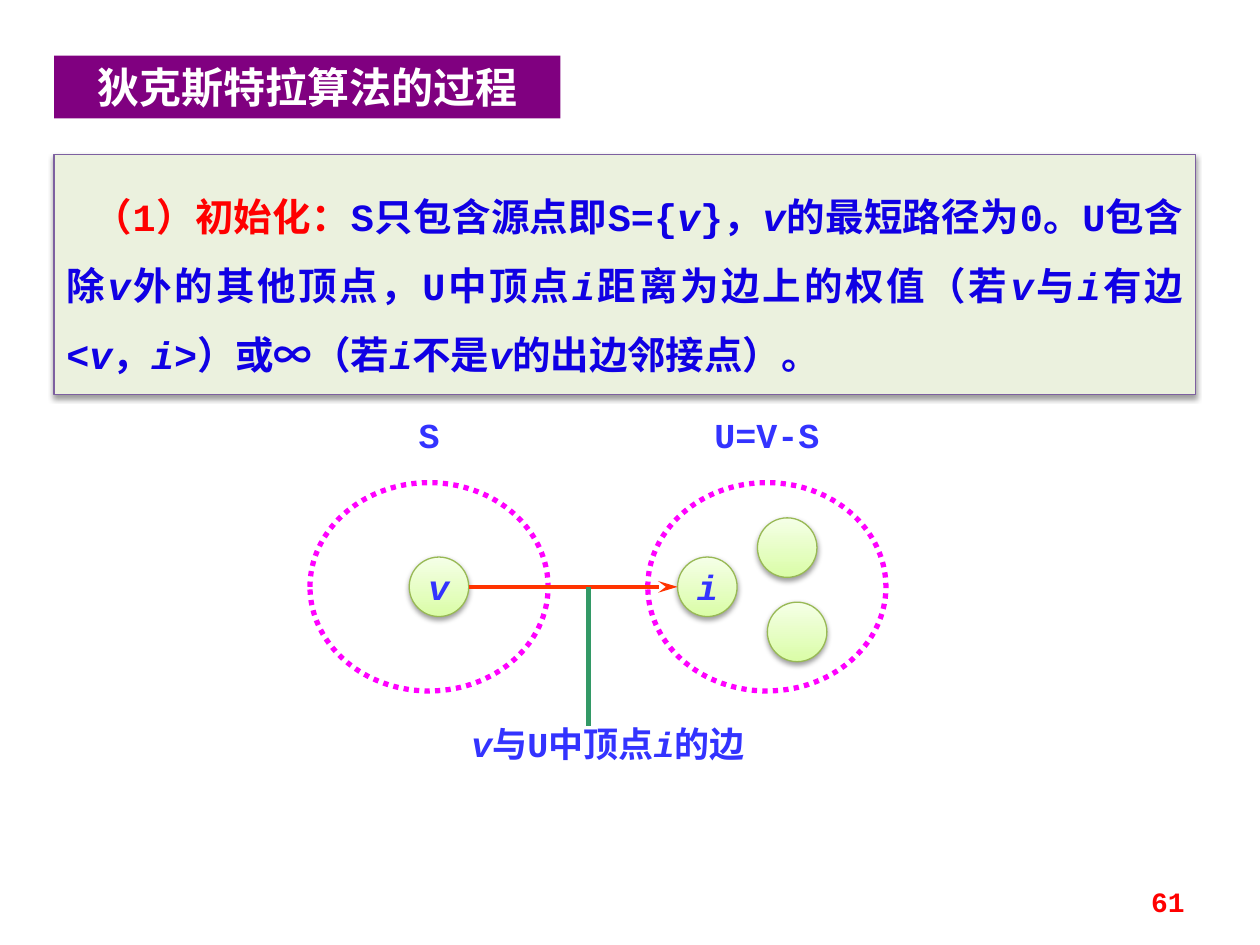
from lxml import etree
from pptx import Presentation
from pptx import util as u
from pptx.dml.color import RGBColor
from pptx.enum import dml, shapes, text
from pptx.oxml import parse_xml
from pptx.oxml.ns import nsdecls, qn

LATIN, CJK = "Courier New", "Noto Sans CJK SC"
WHITE = RGBColor(0xFF, 0xFF, 0xFF)
RED = RGBColor(0xFF, 0x00, 0x00)
BODY_BLUE = RGBColor(0x10, 0x00, 0xE4)
LABEL_BLUE = RGBColor(0x33, 0x33, 0xFF)
PURPLE = RGBColor(0x80, 0x00, 0x80)
PANEL_FILL = RGBColor(0xEB, 0xF1, 0xDE)
PANEL_LINE = RGBColor(0x7D, 0x60, 0xA0)
MAGENTA = RGBColor(0xFF, 0x00, 0xFF)
NODE_LOW = RGBColor(0xDA, 0xFD, 0xA7)
NODE_HIGH = RGBColor(0xF5, 0xFF, 0xE7)
NODE_LINE = RGBColor(0x98, 0xB9, 0x55)
EDGE_RED = RGBColor(0xFF, 0x33, 0x00)
POINTER_GREEN = RGBColor(0x33, 0x99, 0x66)

RECTANGLE = shapes.MSO_SHAPE.RECTANGLE
OVAL = shapes.MSO_SHAPE.OVAL
TOP, MIDDLE = text.MSO_ANCHOR.TOP, text.MSO_ANCHOR.MIDDLE
CENTER = text.PP_ALIGN.CENTER
SET_WIDTH, SET_HEIGHT, SET_TOP = 4.8, 4.2, 9.73
NODE_SIZE = 1.2
EDGE_Y = 11.83

SHADOW = (
    f'<a:effectLst {nsdecls("a")}><a:outerShdw blurRad="39370" dist="20320" '
    'dir="5400000" rotWithShape="0"><a:srgbClr val="000000">'
    '<a:alpha val="38000"/></a:srgbClr></a:outerShdw></a:effectLst>'
)


def add_spans(para, marked, size, color, latin=LATIN):
    for index, piece in enumerate(marked.split("*")):
        if not piece:
            continue
        span = para.add_run()
        span.text = piece
        font = span.font
        font.name, font.size, font.bold = latin, u.Pt(size), True
        font.italic = index % 2 == 1
        font.color.rgb = color
        etree.SubElement(font._element, qn("a:ea"), typeface=CJK)


def prepare_text(box, align=CENTER, anchor=TOP, insets=(0.25, 0.13), wrap=True):
    frame = box.text_frame
    frame.word_wrap = wrap
    frame.vertical_anchor = anchor
    frame.margin_left = frame.margin_right = u.Cm(insets[0])
    frame.margin_top = frame.margin_bottom = u.Cm(insets[1])
    para = frame.paragraphs[0]
    para.alignment = align
    return para


def add_figure(parent, kind, left, top, width, height, fill=None, line=None, weight=0.75):
    figure = parent.add_shape(kind, u.Cm(left), u.Cm(top), u.Cm(width), u.Cm(height))
    figure.shadow.inherit = False
    if fill is None:
        figure.fill.background()
    else:
        figure.fill.solid()
        figure.fill.fore_color.rgb = fill
    if line is None:
        figure.line.fill.background()
    else:
        figure.line.color.rgb = line
        figure.line.width = u.Pt(weight)
    return figure


def add_shadow(figure):
    properties = figure._element.spPr
    properties.replace(properties.find(qn("a:effectLst")), parse_xml(SHADOW))


def add_label(parent, left, top, width, height, marked, size=20, color=LABEL_BLUE, **layout):
    box = parent.add_textbox(u.Cm(left), u.Cm(top), u.Cm(width), u.Cm(height))
    add_spans(prepare_text(box, **layout), marked, size, color)


def add_vertex_set(parent, left, name, label_width):
    ring = add_figure(parent, OVAL, left, SET_TOP, SET_WIDTH, SET_HEIGHT, line=MAGENTA, weight=3)
    ring.line.dash_style = dml.MSO_LINE.ROUND_DOT
    label_left = left + (SET_WIDTH - label_width) / 2
    add_label(parent, label_left, 8.33, label_width, 0.86, name, insets=(0, 0))


def add_node(parent, left, top, name=""):
    node = add_figure(parent, OVAL, left, top, NODE_SIZE, NODE_SIZE, line=NODE_LINE)
    node.fill.gradient()
    node.fill.gradient_angle = 90
    for stop, position, color in zip(node.fill.gradient_stops, (0, 1), (NODE_LOW, NODE_HIGH)):
        stop.position = position
        stop.color.rgb = color
    add_shadow(node)
    if name:
        para = prepare_text(node, anchor=MIDDLE, wrap=False)
        add_spans(para, f"*{name}*", 20, LABEL_BLUE)


def add_line(parent, start, end, color, weight, arrow=False):
    points = [u.Cm(value) for value in (*start, *end)]
    line = parent.add_connector(shapes.MSO_CONNECTOR.STRAIGHT, *points)
    line.line.color.rgb = color
    line.line.width = u.Pt(weight)
    if arrow:
        etree.SubElement(line.line._get_or_add_ln(), qn("a:tailEnd"), type="stealth", w="med", len="lg")
    etree.SubElement(line._element.spPr, qn("a:effectLst"))


def add_explanation(page):
    panel = add_figure(page.shapes, RECTANGLE, 1.09, 3.12, 23.01, 4.83, PANEL_FILL, PANEL_LINE)
    add_shadow(panel)
    para = prepare_text(panel, text.PP_ALIGN.JUSTIFY, insets=(0.25, 0.3))
    para.line_spacing = 1.5
    para._p.get_or_add_pPr().set("indent", str(u.Cm(0.55)))
    add_spans(para, "（1）初始化：", 22, RED)
    add_spans(
        para,
        "S只包含源点即S={*v*}，*v*的最短路径为0。U包含除*v*外的其他顶点，"
        "U中顶点*i*距离为边上的权值（若*v*与*i*有边<*v*，*i*>）或∞（若*i*不是*v*的出边邻接点）。",
        22,
        BODY_BLUE,
    )


def add_diagram(page):
    diagram = page.shapes.add_group_shape().shapes
    add_vertex_set(diagram, 6.25, "S", 1.6)
    add_vertex_set(diagram, 13.06, "U=V-S", 2.8)
    node_top = EDGE_Y - NODE_SIZE / 2
    source_left, target_left = 8.25, 13.66
    add_node(diagram, source_left, node_top, "v")
    add_node(diagram, target_left, node_top, "i")
    add_node(diagram, 15.47, 12.14)
    add_node(diagram, 15.27, 10.44)
    add_label(diagram, 8.46, 14.43, 7.6, 1.09, "*v*与U中顶点*i*的边")
    add_line(diagram, (source_left + NODE_SIZE, EDGE_Y), (target_left, EDGE_Y), EDGE_RED, 2.25, True)
    add_line(diagram, (11.86, EDGE_Y), (11.86, 14.63), POINTER_GREEN, 3)


def main():
    deck = Presentation()
    deck.slide_width, deck.slide_height = u.Cm(25.4), u.Cm(19.05)
    page = deck.slides.add_slide(deck.slide_layouts[6])
    add_explanation(page)
    title = add_figure(page.shapes, RECTANGLE, 1.09, 1.12, 10.21, 1.27, PURPLE)
    add_spans(prepare_text(title), "狄克斯特拉算法的过程", 24, WHITE, CJK)
    add_diagram(page)
    add_label(page.shapes, 18.21, 17.65, 5.92, 1.02, "61", 16, RED,
              align=text.PP_ALIGN.RIGHT, anchor=MIDDLE)
    deck.save("out.pptx")


if __name__ == "__main__":
    main()
